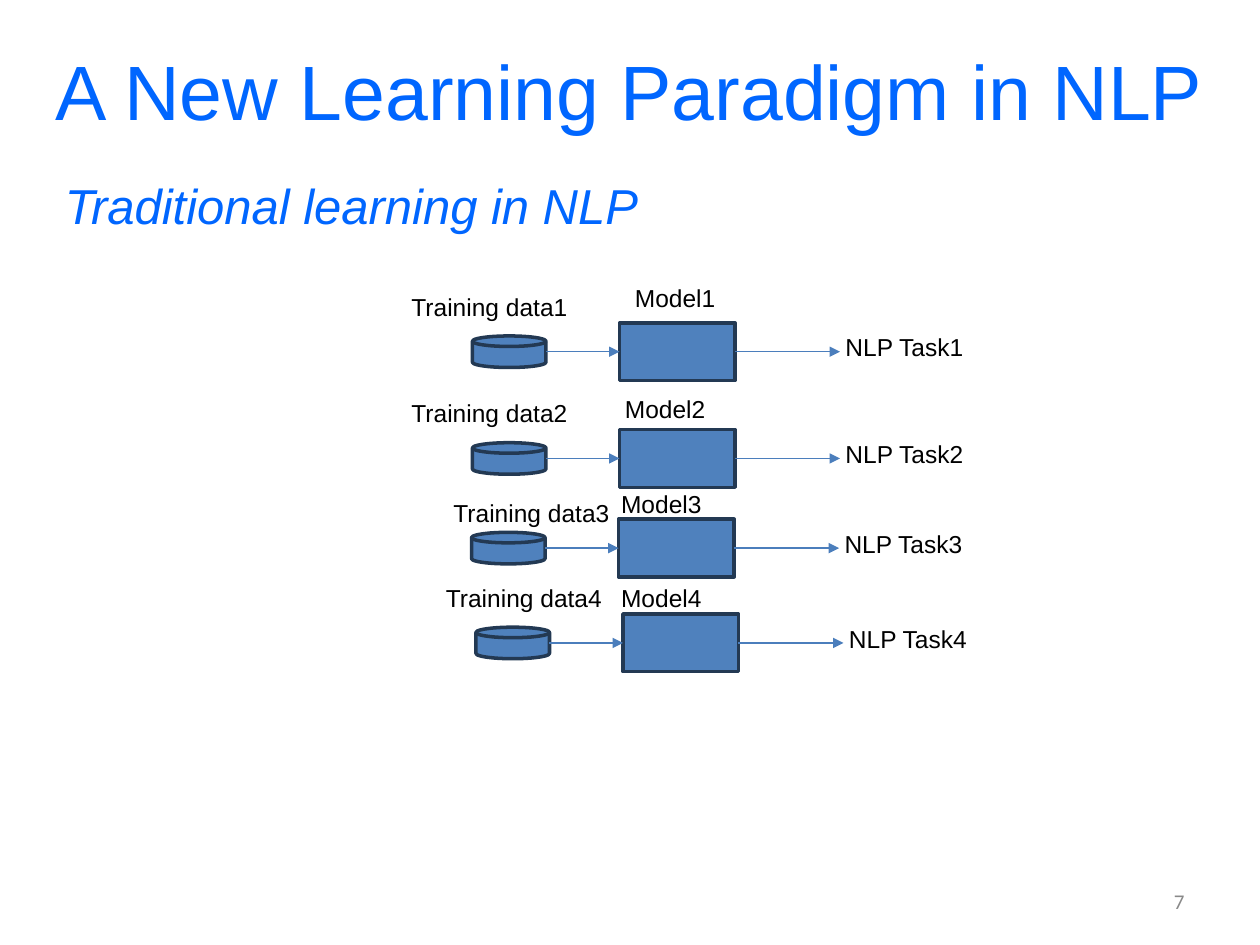
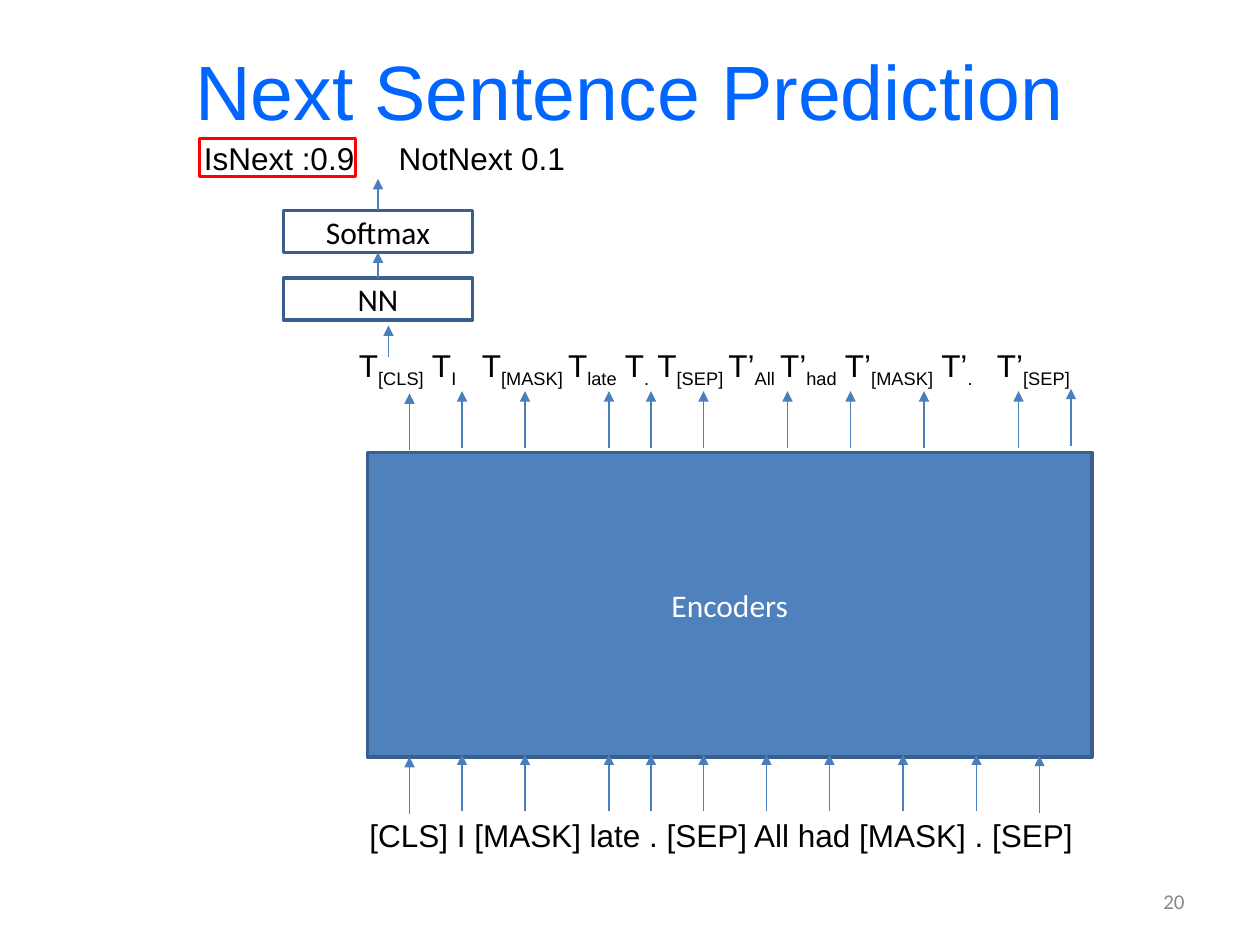
from lxml import etree
from pptx import Presentation
from pptx.dml.color import RGBColor
from pptx.enum.shapes import MSO_CONNECTOR, MSO_SHAPE
from pptx.enum.text import MSO_ANCHOR, PP_ALIGN
from pptx.oxml.ns import qn
from pptx.util import Pt

LEFT, MID, RIGHT = PP_ALIGN.LEFT, PP_ALIGN.CENTER, PP_ALIGN.RIGHT
TOP, CENTER = MSO_ANCHOR.TOP, MSO_ANCHOR.MIDDLE
RECT, DISK = MSO_SHAPE.RECTANGLE, MSO_SHAPE.FLOWCHART_MAGNETIC_DISK
LINE = MSO_CONNECTOR.STRAIGHT

AZURE = RGBColor(0x00, 0x66, 0xFF)
BLUE = RGBColor(0x4F, 0x81, 0xBD)
NAVY = RGBColor(0x23, 0x39, 0x53)
STEEL = RGBColor(0x3A, 0x5F, 0x8C)
ARROW = RGBColor(0x4B, 0x7E, 0xBC)
RED = RGBColor(0xFF, 0x00, 0x00)
GRAY = RGBColor(0x89, 0x89, 0x89)
BLACK = RGBColor(0x00, 0x00, 0x00)
WHITE = RGBColor(0xFF, 0xFF, 0xFF)

# Row middle, row shift, place of the data label, place of the model label
ROWS = [
    (201, 0, (228, 163.4), (355.7, 158.4)),
    (262, 0, (228, 224), (350, 221.8)),
    (313.2, -0.5, (252, 280.8), (347.8, 275.8)),
    (367.4, 2, (247.7, 329.8), (347.8, 329.8)),
]

# Text and subscript take turns
TOKENS = ["T", "[CLS]", " T", "I", "\tT", "[MASK] ", "T", "late", " T", ".",
          " T", "[SEP] ", "T’", "All ", "T’", "had", " T’", "[MASK]", " T’",
          ".", "\tT’", "[SEP]"]
WORDS = "[CLS] I [MASK] late . [SEP] All had [MASK] . [SEP]"
FIRST = [234, 264, 300, 348, 372, 402]  # arrows of the first sentence
FLOWS = [  # arrow start, columns, shift of the first and last arrow
    (463.7, FIRST + [438, 474, 516, 558, 594], 1.3, 0.7),
    (256, FIRST + [450, 486, 528, 582, 612], 1.3, -1.3),
]
RISE = 32.5


def style(runs, size, color, font="Arial", italic=None):
    for run in runs:
        run.font.size, run.font.name = Pt(size), font
        run.font.color.rgb, run.font.italic = color, italic


def write(slide, text, x, y, w, h, size=14, color=BLACK, font="Arial",
          align=LEFT, anchor=TOP, italic=None):
    box = slide.shapes.add_textbox(Pt(x), Pt(y), Pt(w), Pt(h))
    frame = box.text_frame
    frame.word_wrap, frame.vertical_anchor = True, anchor
    frame.text = text
    para = frame.paragraphs[0]
    para.alignment = align
    style(para.runs, size, color, font, italic)
    return para


def set_tabs(para, *stops):
    tabs = etree.SubElement(para._p.get_or_add_pPr(), qn("a:tabLst"))
    for stop in stops:
        etree.SubElement(tabs, qn("a:tab"), pos=str(Pt(stop)), algn="l")


def draw(slide, kind, x, y, w, h, line, fill=None, text="", color=BLACK):
    shape = slide.shapes.add_shape(kind, Pt(x), Pt(y), Pt(w), Pt(h))
    shape.shadow.inherit = False
    if fill is None:
        shape.fill.background()
    else:
        shape.fill.solid()
        shape.fill.fore_color.rgb = fill
    shape.line.color.rgb, shape.line.width = line, Pt(2)
    if text:
        frame = shape.text_frame
        frame.text, frame.vertical_anchor = text, CENTER
        frame.paragraphs[0].alignment = MID
        style(frame.paragraphs[0].runs, 18, color, "Calibri")
    return shape


def arrow(slide, x1, y1, x2, y2):
    link = slide.shapes.add_connector(LINE, Pt(x1), Pt(y1), Pt(x2), Pt(y2))
    link.line.color.rgb, link.line.width = ARROW, Pt(0.75)
    etree.SubElement(link.line._get_or_add_ln(), qn("a:tailEnd"),
                     type="triangle")
    etree.SubElement(link._element.spPr, qn("a:effectLst"))
    return link


def start(deck, title, number, width):
    """Add a blank slide with its title and page number."""
    slide = deck.slides.add_slide(deck.slide_layouts[6])
    write(slide, title, (720 - width) / 2, 6, width, 90, 44, AZURE,
          align=MID, anchor=CENTER)
    write(slide, number, 516, 500.5, 168, 28.8, 12, GRAY, "Calibri",
          RIGHT, CENTER)
    return slide


def show_tasks(deck):
    slide = start(deck, "A New Learning Paradigm in NLP", "7", 684)
    write(slide, "Traditional learning in NLP", 30, 96.5, 360, 41, 28, AZURE,
          italic=True)
    for num, (mid, shift, data, name) in enumerate(ROWS, 1):
        draw(slide, DISK, 270 + shift, mid - 9, 42, 18, NAVY, BLUE)
        model = draw(slide, RECT, 354 + shift, mid - 16.5, 66, 33, NAVY, BLUE)
        feed = arrow(slide, 312 + shift, mid, 354 + shift, mid)
        feed.end_connect(model, 1)
        out = arrow(slide, 420 + shift, mid, 480 + shift, mid)
        out.begin_connect(model, 3)
        write(slide, f"Training data{num}", *data, 104, 24.5)
        write(slide, f"Model{num}", *name, 132, 24.5)
        write(slide, f"NLP Task{num}", 476 + shift, mid - 14.6, 82, 24.5)


def show_next(deck):
    slide = start(deck, "Next Sentence Prediction", "20", 648)
    odds = write(slide, "IsNext :0.9\tNotNext 0.1", 109.4, 75.6, 223, 29, 18)
    set_tabs(odds, 111.3)
    draw(slide, RECT, 114, 79.2, 89.3, 21.6, RED)

    net = draw(slide, RECT, 162, 159, 108, 24, STEEL, text="NN")
    soft = draw(slide, RECT, 162, 120.3, 108, 24, STEEL, text="Softmax")
    arrow(slide, 216, 120.3, 216, 102.3).begin_connect(soft, 0)
    link = arrow(slide, 216, 159, 216, 144.3)
    link.begin_connect(net, 0)
    link.end_connect(soft, 2)
    arrow(slide, 222, 204, 222, 186)

    draw(slide, RECT, 210, 258.5, 414, 174, STEEL, BLUE, "Encoders", WHITE)
    write(slide, WORDS, 204, 463, 432, 29, 18)
    for base, cols, head, tail in FLOWS:
        shifts = [head] + [0] * (len(cols) - 2) + [tail]
        for x, shift in zip(cols, shifts):
            arrow(slide, x, base + shift, x, base + shift - RISE)

    row = write(slide, "", 198, 194.4, 456, 29)
    set_tabs(row, 70.2, 364.6)
    for pos, token in enumerate(TOKENS):
        run = row.add_run()
        run.text = token
        if pos % 2:
            run.font._element.set("baseline", "-25000")
    style(row.runs, 18, BLACK)


def main():
    deck = Presentation()
    deck.slide_width, deck.slide_height = Pt(720), Pt(540)
    show_tasks(deck)
    show_next(deck)
    deck.save("out.pptx")


if __name__ == "__main__":
    main()
